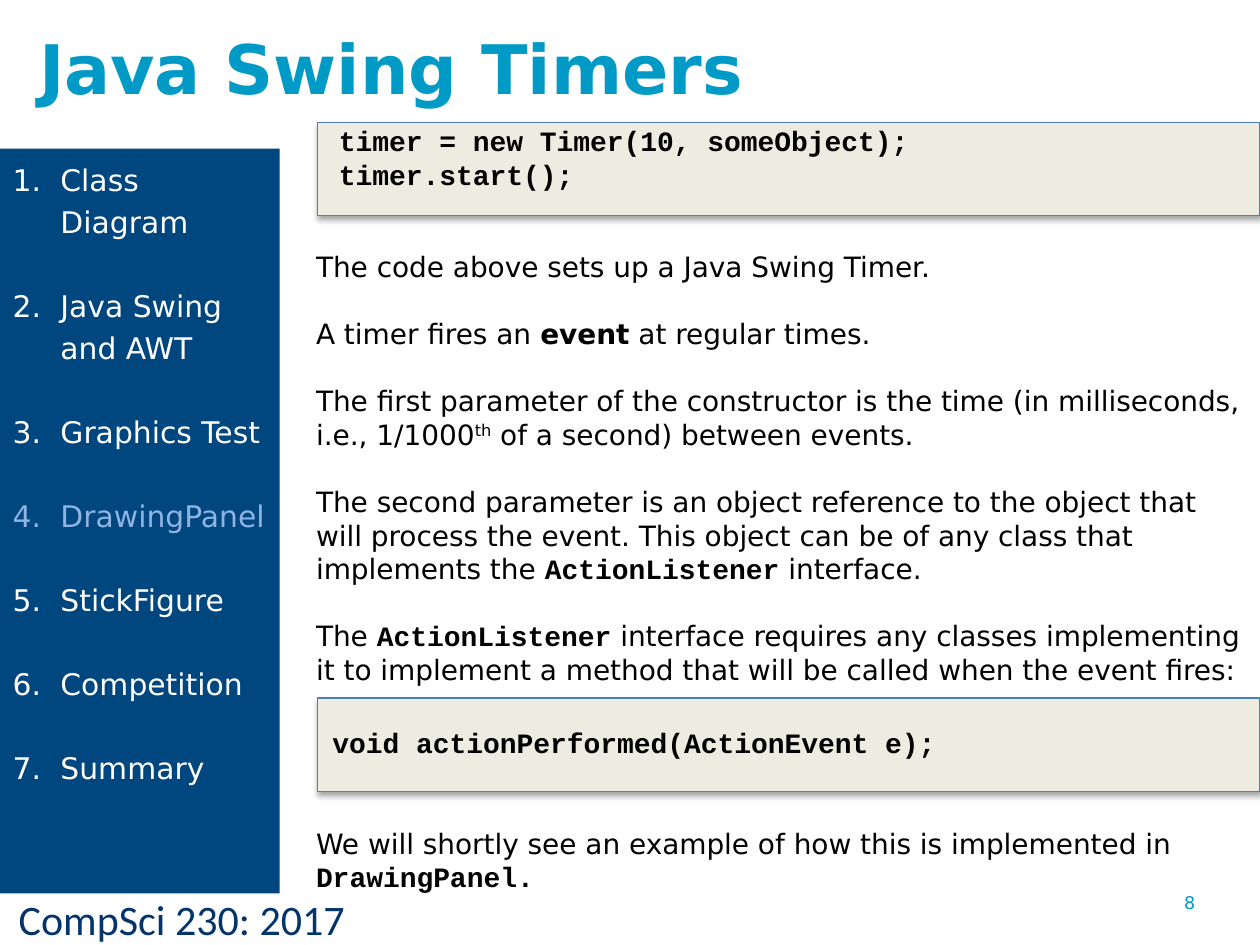
from dataclasses import dataclass

from lxml.etree import SubElement
from pptx import Presentation
from pptx.dml.color import RGBColor as Rgb
from pptx.enum.shapes import MSO_SHAPE as Kind
from pptx.enum.text import MSO_ANCHOR as Anchor, MSO_AUTO_SIZE as Fit, PP_ALIGN as Align
from pptx.oxml.ns import qn
from pptx.util import Inches, Pt


@dataclass(frozen=True)
class Theme:
    sans: str = "DejaVu Sans"
    mono: str = "Courier New"
    foot: str = "Calibri"
    ink: str = "000000"
    accent: str = "009AC7"
    navy: str = "00467F"
    light: str = "FFFFFF"
    faded: str = "8EB4E3"
    sand: str = "EEECE1"
    edge: str = "4B7EBC"
    brand: str = "04346C"
    head: int = 39
    large: int = 24
    item: int = 17
    body: int = 16
    small: int = 10
    lead: float = 19.2
    step: int = 24


class Deck:
    """Places elements on a grid of 100 columns by 75 rows."""

    def __init__(self, theme):
        self.theme = theme
        self.prs = Presentation()
        self.prs.slide_width, self.prs.slide_height = Inches(10), Inches(7.5)
        self.unit = self.prs.slide_width / 100
        layout = self.prs.slide_layouts.get_by_name("Two Content")
        self.slide = self.prs.slides.add_slide(layout)
        self.shapes = self.slide.shapes

    def grid(self, *cells):
        return [round(cell * self.unit) for cell in cells]

    def hold(self, index, *cells):
        """Move a template placeholder to its cells, in front of all else."""
        holder = self.slide.placeholders[index]
        holder.left, holder.top, holder.width, holder.height = self.grid(*cells)
        holder._element.getparent().append(holder._element)
        return self.frame(holder)

    def frame(self, shape):
        frame = shape.text_frame
        frame.word_wrap = True
        frame.auto_size = Fit.NONE
        frame.vertical_anchor = Anchor.TOP
        return shape

    def box(self, *cells):
        return self.frame(self.shapes.add_textbox(*self.grid(*cells)))

    def style(self, para, font, size, color, bold=False):
        para.font.name, para.font.size, para.font.bold = font, Pt(size), bold
        para.font.color.rgb = Rgb.from_string(color)
        para.alignment = Align.LEFT
        para.space_before = Pt(0)

    def label(self, shape, text, *look):
        para = shape.text_frame.paragraphs[0]
        para.text = text
        self.style(para, *look)

    def lines(self, shape, count):
        """Return the given number of paragraphs in the shape."""
        frame = shape.text_frame
        return [frame.paragraphs[0]] + [frame.add_paragraph() for _ in range(count - 1)]

    def title(self, text, *cells):
        shape = self.hold(0, *cells)
        shape.text_frame.vertical_anchor = Anchor.MIDDLE
        self.label(shape, text, self.theme.sans, self.theme.head, self.theme.accent, True)

    def panel(self, *cells):
        """Draw a bordered code panel with a soft shadow below."""
        shape = self.shapes.add_shape(Kind.RECTANGLE, *self.grid(*cells))
        shape.fill.solid()
        shape.fill.fore_color.rgb = Rgb.from_string(self.theme.sand)
        shape.line.color.rgb = Rgb.from_string(self.theme.edge)
        shape.line.width = Pt(0.75)
        shape.shadow.inherit = False
        effects = shape._element.spPr.find(qn("a:effectLst"))
        shadow = SubElement(effects, qn("a:outerShdw"), blurRad=str(Pt(3.1)),
                            dist=str(Pt(1.8)), dir="5400000", rotWithShape="0")
        tint = SubElement(shadow, qn("a:srgbClr"), val=self.theme.ink)
        SubElement(tint, qn("a:alpha"), val="35000")

    def code(self, rows, *cells):
        shape = self.hold(2, *cells)
        for para, row in zip(self.lines(shape, len(rows)), rows):
            para.text = row
            self.style(para, self.theme.mono, self.theme.body, self.theme.ink, True)
            para.line_spacing = Pt(self.theme.lead)
            props = para._p.get_or_add_pPr()
            props.set("marL", "0")
            props.set("indent", "0")
            props.insert_element_before(props.makeelement(qn("a:buNone")), "a:defRPr")

    def menu(self, items, active, *cells):
        shape = self.hold(1, *cells)
        shape.fill.solid()
        shape.fill.fore_color.rgb = Rgb.from_string(self.theme.navy)
        for para, item in zip(self.lines(shape, len(items)), items):
            color = self.theme.faded if item == active else self.theme.light
            para.text = item
            self.style(para, self.theme.sans, self.theme.item, color)
            para.line_spacing = para.space_after = Pt(self.theme.step)
            props = para._p.get_or_add_pPr()
            props.set("marL", str(Inches(0.38)))
            props.set("indent", str(-Inches(0.38)))
            number = props.makeelement(qn("a:buAutoNum"), {"type": "arabicPeriod"})
            props.insert_element_before(number, "a:defRPr")

    def prose(self, paras, *cells):
        """Write paragraphs of plain strings and (text, kind) pairs."""
        shape = self.box(*cells)
        for para, parts in zip(self.lines(shape, len(paras)), paras):
            self.style(para, self.theme.sans, self.theme.body, self.theme.ink)
            para.line_spacing = para.space_after = Pt(self.theme.lead)
            for part in parts:
                text, kind = (part, "") if isinstance(part, str) else part
                run = para.add_run()
                run.text = text
                if kind in ("bold", "code"):
                    run.font.bold = True
                if kind == "code":
                    run.font.name = self.theme.mono
                if kind == "raised":
                    run.font._element.set("baseline", "30000")
        return shape.text_frame.paragraphs

    def note(self, text, look, *cells):
        self.label(self.box(*cells), text, *look)


def main():
    theme = Theme()
    deck = Deck(theme)
    deck.note("CompSci 230: 2017", (theme.foot, theme.large, theme.brand), 0.5, 70.4, 40.5, 5)
    for top in (55.4, 9.7):
        deck.panel(25.2, top, 74.8, 7.4)
    deck.note("8", (theme.sans, theme.small, theme.accent), 93, 70.3, 7, 4)
    deck.code(["timer = new Timer(10, someObject);", "timer.start();"], 25.9, 9.3, 74.1, 12)
    deck.title("Java Swing Timers", 2.1, 1.4, 71.3, 7.8)

    listener = ("ActionListener", "code")
    paras = deck.prose([
        ["The code above sets up a Java Swing Timer."],
        ["A timer fires an ", ("event", "bold"), " at regular times."],
        ["The first parameter of the constructor is the time (in milliseconds, i.e., 1/1000",
         ("th", "raised"), " of a second) between events."],
        ["The second parameter is an object reference to the object that will process the event. "
         "This object can be of any class that implements the ", listener, " interface."],
        ["The ", listener, " interface requires any classes implementing it to implement "
         "a method that will be called when the event fires:"],
        [("void actionPerformed(ActionEvent e);", "code")],
        ["We will shortly see an example of how this is implemented in ",
         ("DrawingPanel.", "code")],
    ], 24.1, 19.3, 75.9, 52.5)
    call = paras[5]
    paras[4].space_after = Pt(22.5)
    call.space_after = Pt(2 * theme.lead)
    call._p.get_or_add_pPr().set("marL", str(Inches(0.13)))

    deck.menu(["Class Diagram", "Java Swing and AWT", "Graphics Test", "DrawingPanel",
               "StickFigure", "Competition", "Summary"], "DrawingPanel", 0, 11.8, 22.2, 59.1)
    deck.prs.save("out.pptx")


if __name__ == "__main__":
    main()
